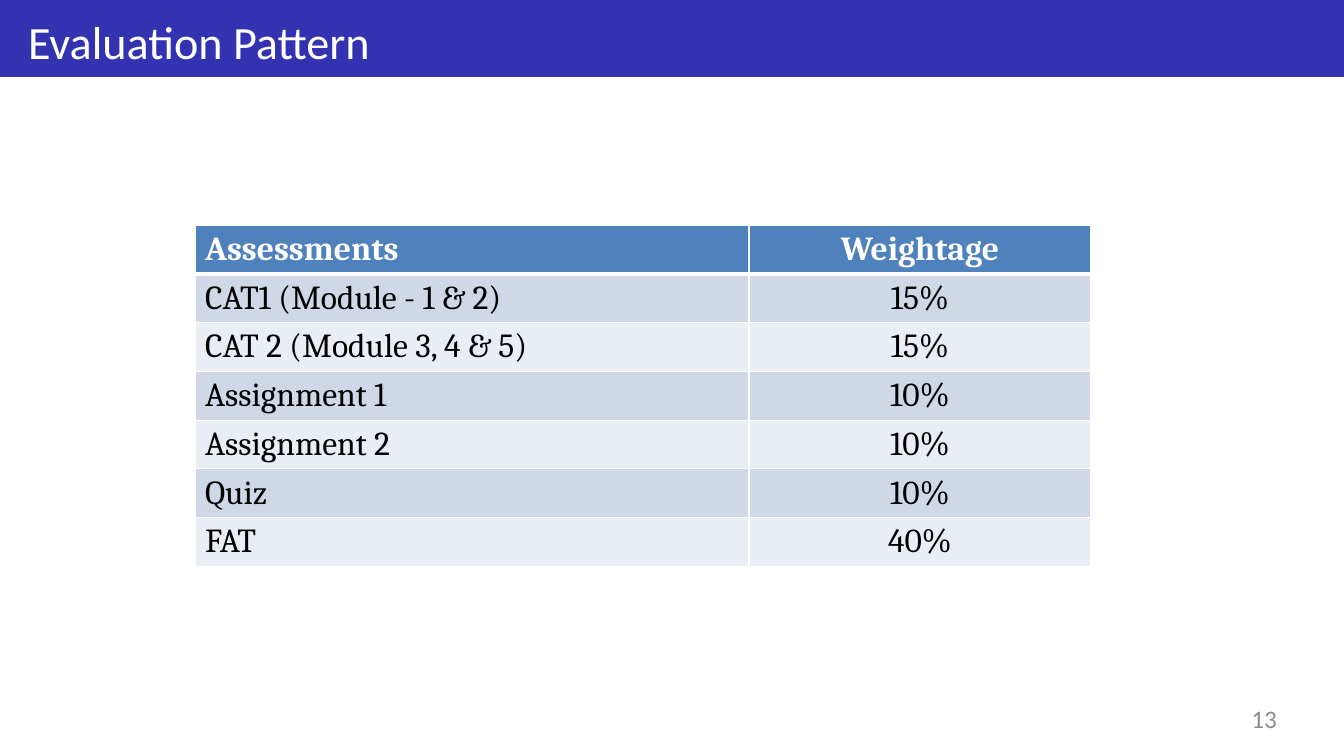
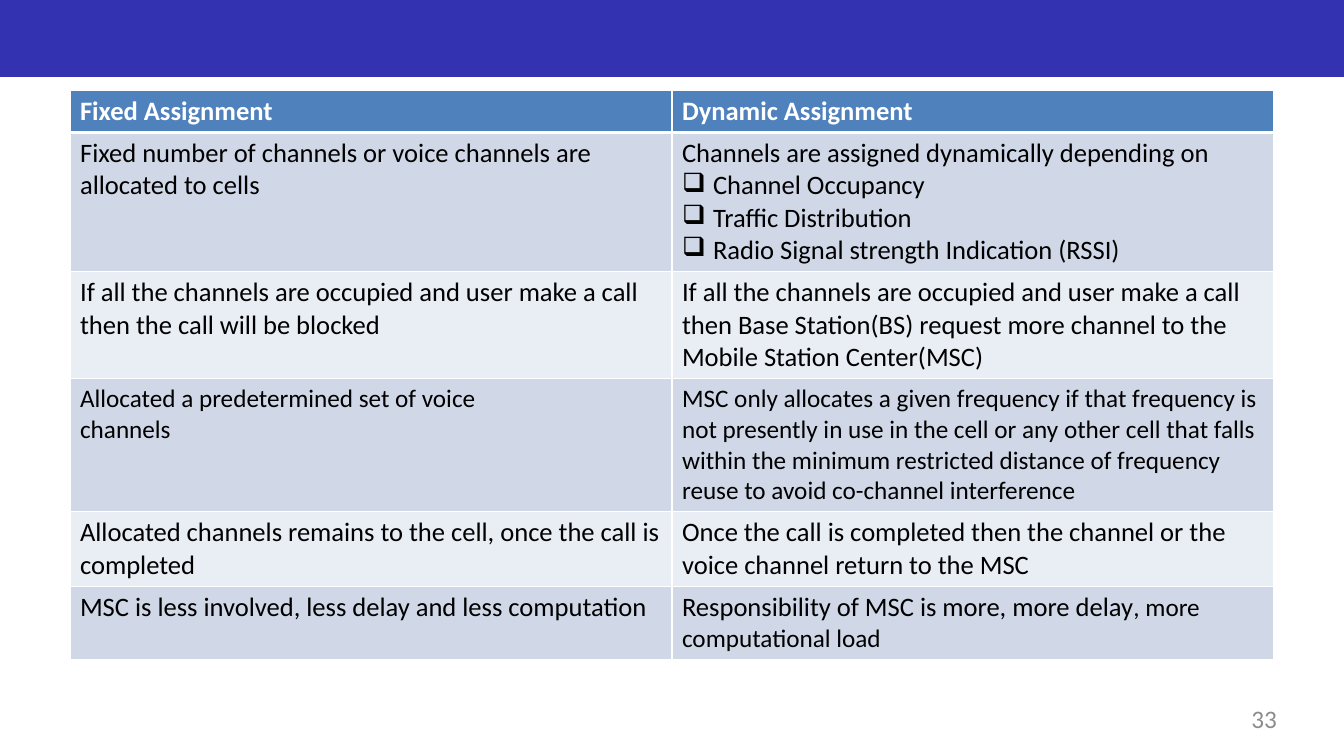
from dataclasses import dataclass
from typing import NamedTuple

from pptx import Presentation
from pptx.dml.color import RGBColor
from pptx.enum.shapes import MSO_SHAPE as Shape
from pptx.enum.text import MSO_ANCHOR as Anchor, MSO_AUTO_SIZE as AutoSize, PP_ALIGN as Align
from pptx.oxml.ns import qn
from pptx.util import Emu, Pt
from lxml.etree import SubElement

SLIDE_W, SLIDE_H = 1344, 756
TITLE_ONLY, BLANK = 5, 6


@dataclass(frozen=True)
class Theme:
    band: str = "3333B2"
    header: str = "4F81BD"
    stripes: tuple = ("D0D8E8", "E9EDF4")
    light: str = "FFFFFF"
    ink: str = "000000"
    muted: str = "8C8C8C"
    sans: str = "Calibri"
    serif: str = "Cambria"
    title_size: int = 33
    grade_size: int = 24
    body_size: int = 19
    small_size: int = 18
    rule: int = 1
    header_rule: int = 3


THEME = Theme()


class Run(NamedTuple):
    text: str
    size: int | None = None


class Para(NamedTuple):
    runs: tuple
    bulleted: bool = False


def small(text):
    return Para((Run(text, THEME.small_size),))


def bullet(text):
    return Para((Run(text),), bulleted=True)


def px(length):
    return Emu(round(length * 914400 / 100.8))


def box(left, top, width, height):
    return px(left), px(top), px(width), px(height)


def add_bullet(paragraph, indent=31):
    properties = paragraph._p.get_or_add_pPr()
    properties.set("marL", str(px(indent)))
    properties.set("indent", str(-px(indent)))
    SubElement(properties, qn("a:buChar"), char="❑")


def write(frame, content, *, size, color, font=THEME.sans, bold=False, align=Align.LEFT):
    """Fill a text frame with a string, or with a list of strings and Paras."""
    items = content if isinstance(content, list) else [content]
    for index, item in enumerate(items):
        para = Para((Run(item),)) if isinstance(item, str) else item
        paragraph = frame.paragraphs[0] if index == 0 else frame.add_paragraph()
        paragraph.alignment = align
        if para.bulleted:
            add_bullet(paragraph)
        for part in para.runs:
            run = paragraph.add_run()
            run.text = part.text
            run.font.size = Pt(part.size or size)
            run.font.name = font
            run.font.bold = bold
            run.font.color.rgb = RGBColor.from_string(color)


def clear_insets(frame):
    frame.margin_left = frame.margin_top = frame.margin_right = frame.margin_bottom = 0
    frame.vertical_anchor = Anchor.TOP
    frame.auto_size = AutoSize.NONE
    frame.word_wrap = True


def add_band(slide):
    """Draw the title band and move it to the master, behind every slide."""
    band = slide.shapes.add_shape(Shape.RECTANGLE, *box(0, 0, SLIDE_W, 77))
    band.shadow.inherit = False
    band.fill.solid()
    band.fill.fore_color.rgb = RGBColor.from_string(THEME.band)
    band.line.fill.background()
    slide.slide_layout.slide_master.shapes._spTree.insert(2, band._element)


def set_title(slide, text):
    title = slide.shapes.title
    title.left, title.top, title.width, title.height = box(28, 13, 1043, 56)
    clear_insets(title.text_frame)
    write(title.text_frame, text, size=THEME.title_size, color=THEME.light)


def add_page_number(slide, number):
    frame = slide.shapes.add_textbox(*box(968, 703, 309, 30)).text_frame
    clear_insets(frame)
    write(frame, str(number), size=THEME.small_size, color=THEME.muted, align=Align.RIGHT)


def set_borders(cell, row_index):
    widths = {
        "a:lnL": THEME.rule,
        "a:lnR": THEME.rule,
        "a:lnT": THEME.header_rule if row_index == 1 else THEME.rule,
        "a:lnB": THEME.header_rule if row_index == 0 else THEME.rule,
    }
    properties = cell._tc.get_or_add_tcPr()
    for side, width in widths.items():
        line = SubElement(properties, qn(side), w=str(Pt(width)))
        fill = SubElement(line, qn("a:solidFill"))
        SubElement(fill, qn("a:srgbClr"), val=THEME.light)


def add_striped_table(slide, rows, *, left, top, columns, heights, aligns, font, size):
    frame = slide.shapes.add_table(
        len(rows), len(columns), *box(left, top, sum(columns), sum(heights)))
    table = frame.table
    table.first_row = table.horz_banding = False
    for column, width in zip(table.columns, columns):
        column.width = px(width)
    for r, (row, height) in enumerate(zip(rows, heights)):
        table.rows[r].height = px(height)
        is_header = r == 0
        for c, content in enumerate(row):
            cell = table.cell(r, c)
            set_borders(cell, r)
            cell.fill.solid()
            cell.fill.fore_color.rgb = RGBColor.from_string(
                THEME.header if is_header else THEME.stripes[(r - 1) % 2])
            write(cell.text_frame, content, size=size, font=font, bold=is_header,
                  color=THEME.light if is_header else THEME.ink, align=aligns[c])


ASSESSMENTS = [
    ("Assessments", "Weightage"),
    ("CAT1 (Module - 1 & 2)", "15%"),
    ("CAT 2 (Module 3, 4 & 5)", "15%"),
    ("Assignment 1", "10%"),
    ("Assignment 2", "10%"),
    ("Quiz", "10%"),
    ("FAT", "40%"),
]

CHANNEL_ASSIGNMENT = [
    ("Fixed Assignment", "Dynamic Assignment"),
    ("Fixed number of channels or voice channels are allocated to cells",
     ["Channels are assigned dynamically depending on",
      bullet("Channel Occupancy"),
      bullet("Traffic Distribution"),
      bullet("Radio Signal strength Indication (RSSI)")]),
    ("If all the channels are occupied and user make a call then the call will be blocked",
     "If all the channels are occupied and user make a call then Base Station(BS) request "
     "more channel to the Mobile Station Center(MSC)"),
    ([small("Allocated a predetermined set of voice"), small("channels")],
     small("MSC only allocates a given frequency if that frequency is not presently in use "
           "in the cell or any other cell that falls within the minimum restricted distance "
           "of frequency reuse to avoid co-channel interference")),
    ("Allocated channels remains to the cell, once the call is completed",
     "Once the call is completed then the channel or the voice channel return to the MSC"),
    ("MSC is less involved, less delay and less computation",
     Para((Run("Responsibility of MSC is more, more delay"),
           Run(", more computational load", THEME.small_size)))),
]


def build_evaluation(deck):
    slide = deck.slides.add_slide(deck.slide_layouts[TITLE_ONLY])
    add_band(slide)
    set_title(slide, "Evaluation Pattern")
    add_page_number(slide, 13)
    add_striped_table(slide, ASSESSMENTS, left=195, top=225, columns=(554, 342),
                      heights=[48] * len(ASSESSMENTS), aligns=(Align.LEFT, Align.CENTER),
                      font=THEME.serif, size=THEME.grade_size)


def build_channel_assignment(deck):
    slide = deck.slides.add_slide(deck.slide_layouts[BLANK])
    add_page_number(slide, 33)
    add_striped_table(slide, CHANNEL_ASSIGNMENT, left=70, top=90, columns=(602, 602),
                      heights=(42, 139, 107, 133, 75, 73), aligns=(Align.LEFT, Align.LEFT),
                      font=THEME.sans, size=THEME.body_size)


def main():
    deck = Presentation()
    deck.slide_width, deck.slide_height = px(SLIDE_W), px(SLIDE_H)
    build_evaluation(deck)
    build_channel_assignment(deck)
    deck.save("out.pptx")


if __name__ == "__main__":
    main()
